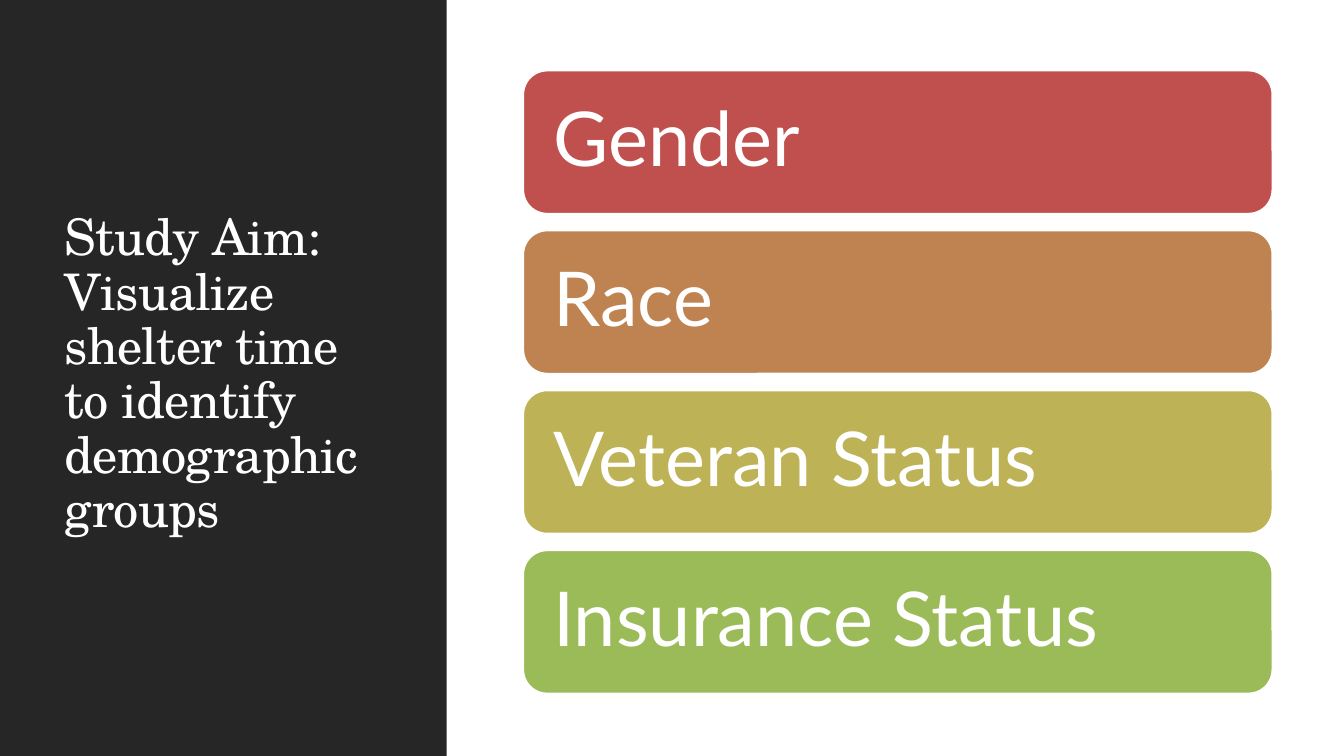
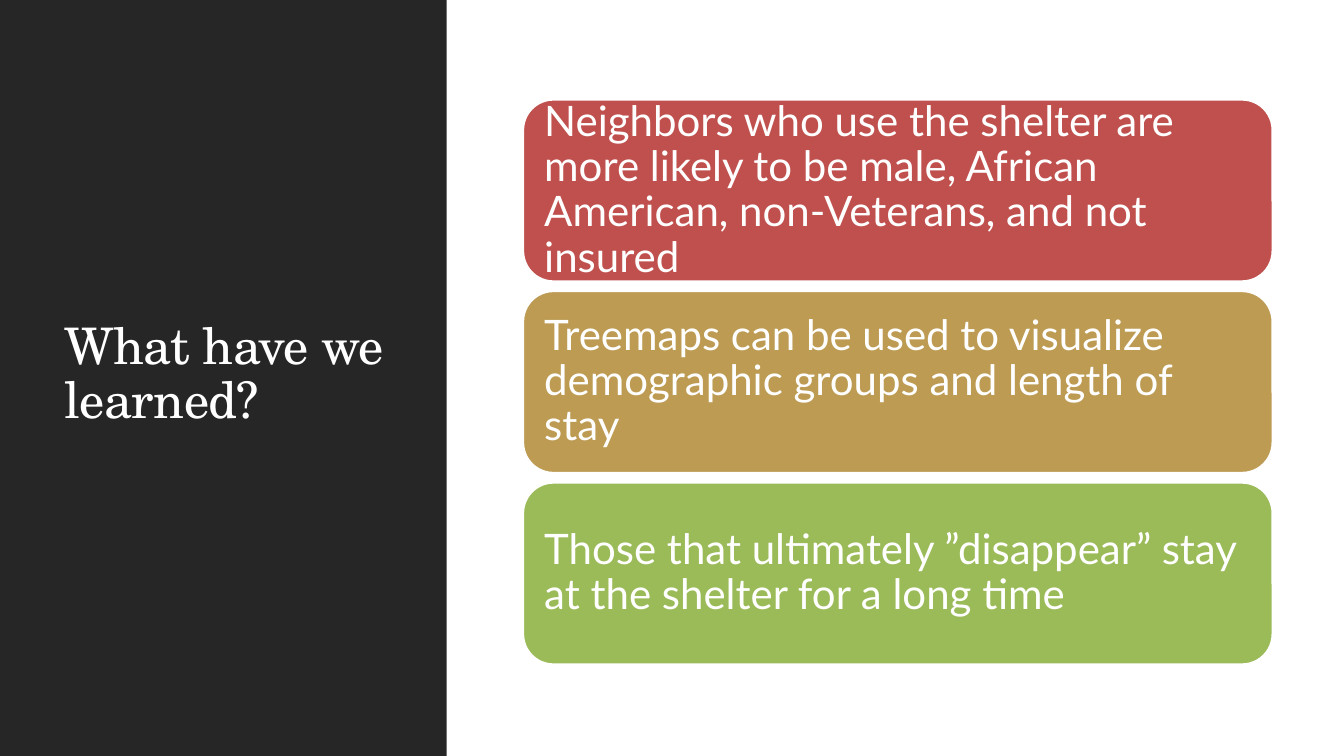
from pptx import Presentation
from pptx.dml.color import RGBColor
from pptx.enum.shapes import MSO_SHAPE as Shape
from pptx.enum.text import MSO_ANCHOR as Anchor, MSO_AUTO_SIZE as AutoSize, PP_ALIGN as Align
from pptx.util import Inches, Pt

WHITE = "FFFFFF"
DARK = "262626"
RED = "C0504D"
GREEN = "9BBB59"
TITLE_FONT = "TeX Gyre Schola"
BODY_FONT = "Lato"
PAGE_SIZE = (13.33, 7.5)
PANEL_BOX = (0, 0, 4.43, 7.5)
TITLE_ONLY = 5

SLIDES = [
    {
        "title": "Study Aim: Visualize shelter time to identify demographic groups",
        "cards": [
            ("Gender", RED),
            ("Race", "BE8351"),
            ("Veteran Status", "BDB255"),
            ("Insurance Status", GREEN),
        ],
        "box": (5.19, 0.7, 7.43, 6.18),
        "card_height": 1.42,
        "size": 54,
        "inset": 0.23,
    },
    {
        "title": "What have we learned?",
        "cards": [
            ("Neighbors who use the shelter are more likely to be male, "
             "African American, non-Veterans, and not insured", RED),
            ("Treemaps can be used to visualize demographic groups and length of stay", "BD9B53"),
            ("Those that ultimately ”disappear” stay at the shelter for a long time", GREEN),
        ],
        "box": (5.19, 0.99, 7.43, 5.6),
        "card_height": 1.8,
        "size": 30,
        "inset": 0.12,
    },
]


def paint(target, color):
    target.solid()
    target.fore_color.rgb = RGBColor.from_string(color)


def write(shape, text, font, size, color=WHITE, inset=None, tracking=None):
    frame = shape.text_frame
    frame.word_wrap = True
    frame.auto_size = AutoSize.NONE
    frame.vertical_anchor = Anchor.MIDDLE
    if inset is not None:
        frame.margin_left = frame.margin_right = Inches(inset)
        frame.margin_top = frame.margin_bottom = Inches(inset)
    para = frame.paragraphs[0]
    para.alignment = Align.LEFT
    para.line_spacing = 0.9
    span = para.add_run()
    span.text = text
    span.font.name = font
    span.font.size = Pt(size)
    paint(span.font.fill, color)
    if tracking is not None:
        span.font._element.set("spc", str(round(tracking * 100)))


def add_block(page, kind, box, color):
    block = page.shapes.add_shape(kind, *map(Inches, box))
    block.shadow.inherit = False
    paint(block.fill, color)
    block.line.fill.background()
    return block


def add_title_panel(page, text, box):
    left, top, width, height = box
    panel = add_block(page, Shape.RECTANGLE, box, DARK)
    title = page.shapes.title
    title.element.addprevious(panel.element)
    title.left, title.top = Inches(left + 0.54), Inches(top + 0.57)
    title.width, title.height = Inches(width - 1.06), Inches(height - 1.19)
    write(title, text, TITLE_FONT, 36, tracking=-0.5)


def add_cards(page, cards, box, card_height, size, inset):
    left, top, width, height = box
    pitch = (height - card_height) / (len(cards) - 1)
    for index, (text, color) in enumerate(cards):
        card_box = (left, top + index * pitch, width, card_height)
        card = add_block(page, Shape.ROUNDED_RECTANGLE, card_box, color)
        paint(card.line.fill, WHITE)
        card.line.width = Pt(1.25)
        write(card, text, BODY_FONT, size, inset=inset)


def add_slide(deck, title, **card_stack):
    page = deck.slides.add_slide(deck.slide_layouts[TITLE_ONLY])
    add_title_panel(page, title, PANEL_BOX)
    add_cards(page, **card_stack)


def main():
    deck = Presentation()
    deck.slide_width, deck.slide_height = map(Inches, PAGE_SIZE)
    paint(deck.slide_master.background.fill, WHITE)
    for content in SLIDES:
        add_slide(deck, **content)
    deck.save("out.pptx")


if __name__ == "__main__":
    main()
